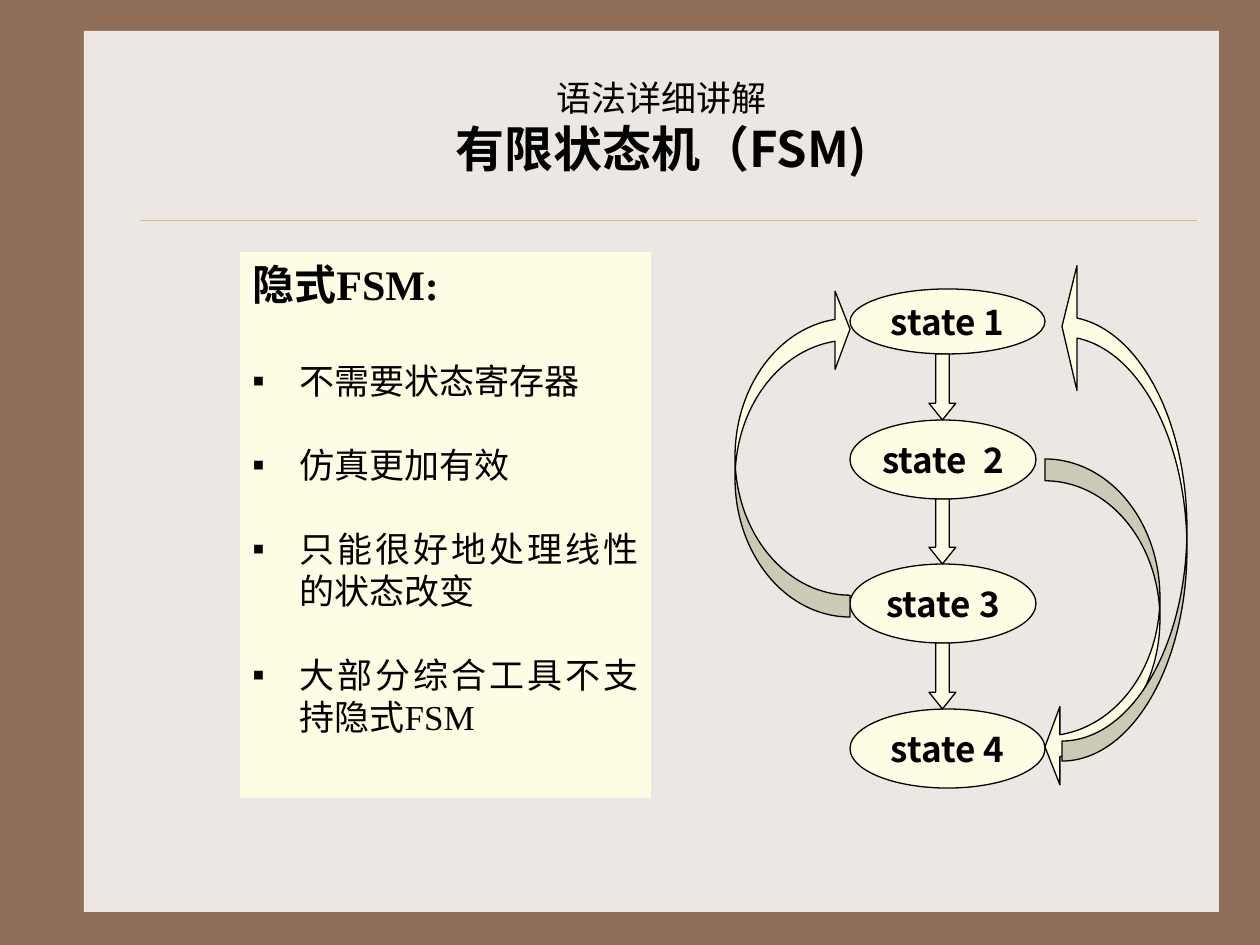
from dataclasses import dataclass

from lxml.etree import SubElement
from pptx import Presentation
from pptx.dml.color import RGBColor
from pptx.enum.shapes import MSO_CONNECTOR, MSO_SHAPE
from pptx.enum.text import MSO_ANCHOR, PP_ALIGN
from pptx.oxml.ns import qn
from pptx.util import Emu, Pt

PX = 914400 / 126


@dataclass(frozen=True)
class Theme:
    frame: str = "906D58"
    panel: str = "EDE7E3"
    rule: str = "CBBD83"
    cream: str = "FEFDE3"
    ink: str = "000000"
    sans: str = "Noto Sans CJK SC"
    serif: str = "Times New Roman"
    body: int = 20
    heading: int = 24
    title: int = 28


@dataclass(frozen=True)
class State:
    text: str
    y: int
    w: int
    h: int


@dataclass(frozen=True)
class LoopArrow:
    kind: MSO_SHAPE
    x: int
    y: int
    w: int
    h: int
    rotation: int
    adjustments: tuple[float, float, float]


T = Theme()
STATE_X, DOWN_X, DOWN_W = 850, 929, 27
STATES = [
    State("state 1", 289, 195, 65),
    State("state  2", 420, 186, 79),
    State("state 3", 564, 186, 79),
    State("state 4", 709, 195, 79),
]
SIDE_BEND = (0.19, 0.68, 0.13)
LOOPS = [
    LoopArrow(MSO_SHAPE.CURVED_LEFT_ARROW, 1045, 459, 115, 327, 0, SIDE_BEND),
    LoopArrow(MSO_SHAPE.CURVED_LEFT_ARROW, 735, 290, 115, 327, 180, SIDE_BEND),
    LoopArrow(MSO_SHAPE.CURVED_UP_ARROW, 876, 450, 497, 125, 270, (0.16, 1.0, 0.12)),
]
BULLETS = ["不需要状态寄存器", "仿真更加有效", "只能很好地处理线性的状态改变", "大部分综合工具不支持隐式FSM"]


def px(n: int) -> Emu:
    return Emu(round(n * PX))


def rgb(code: str) -> RGBColor:
    return RGBColor.from_string(code)


def add_preset(s, kind, x: int, y: int, w: int, h: int, fill: str, line: str | None = None):
    sp = s.shapes.add_shape(kind, px(x), px(y), px(w), px(h))
    sp.shadow.inherit = False
    sp.fill.solid()
    sp.fill.fore_color.rgb = rgb(fill)
    if line:
        sp.line.color.rgb = rgb(line)
        sp.line.width = Pt(0.75)
    else:
        sp.line.fill.background()
    return sp


def adjust(sp, values: tuple[float, ...]) -> None:
    for i, value in enumerate(values):
        sp.adjustments[i] = value


def add_text(p, text: str, *, size: int, font: str = T.sans, bold: bool = False) -> None:
    r = p.add_run()
    r.text = text
    r.font.name, r.font.size, r.font.bold = font, Pt(size), bold
    r.font.color.rgb = rgb(T.ink)
    SubElement(r._r.get_or_add_rPr(), qn("a:ea"), typeface=T.sans)


def add_bullet(p) -> None:
    pPr = p._p.get_or_add_pPr()
    pPr.set("marL", str(px(47)))
    pPr.set("indent", str(px(-47)))
    clr = SubElement(pPr, qn("a:buClr"))
    SubElement(clr, qn("a:srgbClr"), val=T.ink)
    SubElement(pPr, qn("a:buFont"), typeface=T.serif)
    SubElement(pPr, qn("a:buChar"), char="▪")


def add_rule(s) -> None:
    line = s.shapes.add_connector(MSO_CONNECTOR.STRAIGHT, px(140), px(220), px(1197), px(220))
    line.line.color.rgb = rgb(T.rule)
    line.line.width = Pt(0.25)
    SubElement(line._element.spPr, qn("a:effectLst"))


def add_title(s) -> None:
    sp = s.shapes.title
    sp.element.getparent().append(sp.element)
    sp.left, sp.top, sp.width, sp.height = px(126), px(53), px(1071), px(147)
    tf = sp.text_frame
    tf.vertical_anchor = MSO_ANCHOR.MIDDLE
    p = tf.paragraphs[0]
    p.alignment, p.line_spacing = PP_ALIGN.CENTER, 1.0
    add_text(p, "语法详细讲解", size=T.body)
    p.add_line_break()
    add_text(p, "有限状态机（FSM)", size=T.title, bold=True)


def add_notes_box(s) -> None:
    tf = add_preset(s, MSO_SHAPE.RECTANGLE, 240, 252, 411, 546, T.cream).text_frame
    tf.word_wrap, tf.vertical_anchor = True, MSO_ANCHOR.TOP
    p = tf.paragraphs[0]
    p.alignment, p.line_spacing = PP_ALIGN.JUSTIFY, Pt(29)
    add_text(p, "隐式FSM:", size=T.heading, font=T.serif, bold=True)
    for i, text in enumerate(BULLETS):
        p = tf.add_paragraph()
        add_bullet(p)
        p.alignment, p.line_spacing = PP_ALIGN.JUSTIFY, Pt(24)
        p.space_before = Pt(24 if i else 29)
        add_text(p, text, size=T.body, font=T.serif)


def add_state(s, st: State) -> None:
    sp = add_preset(s, MSO_SHAPE.OVAL, STATE_X, st.y, st.w, st.h, T.cream, T.ink)
    tf = sp.text_frame
    tf.word_wrap, tf.vertical_anchor = False, MSO_ANCHOR.MIDDLE
    p = tf.paragraphs[0]
    p.alignment = PP_ALIGN.CENTER
    add_text(p, st.text, size=T.body, bold=True)


def add_down_arrow(s, top: int, bottom: int) -> None:
    sp = add_preset(s, MSO_SHAPE.DOWN_ARROW, DOWN_X, top, DOWN_W, bottom - top, T.cream, T.ink)
    adjust(sp, (0.5, 0.62))


def add_loop_arrow(s, a: LoopArrow) -> None:
    sp = add_preset(s, a.kind, a.x, a.y, a.w, a.h, T.cream, T.ink)
    sp.rotation = a.rotation
    adjust(sp, a.adjustments)


def main() -> None:
    prs = Presentation()
    prs.slide_width, prs.slide_height = px(1260), px(945)
    s = prs.slides.add_slide(prs.slide_layouts[5])
    s.background.fill.solid()
    s.background.fill.fore_color.rgb = rgb(T.frame)
    add_preset(s, MSO_SHAPE.RECTANGLE, 84, 31, 1135, 881, T.panel)
    add_rule(s)
    add_title(s)
    add_notes_box(s)
    for st in STATES:
        add_state(s, st)
    for a in LOOPS:
        add_loop_arrow(s, a)
    for upper, lower in zip(STATES, STATES[1:]):
        add_down_arrow(s, upper.y + upper.h, lower.y)
    prs.save("out.pptx")


if __name__ == "__main__":
    main()
